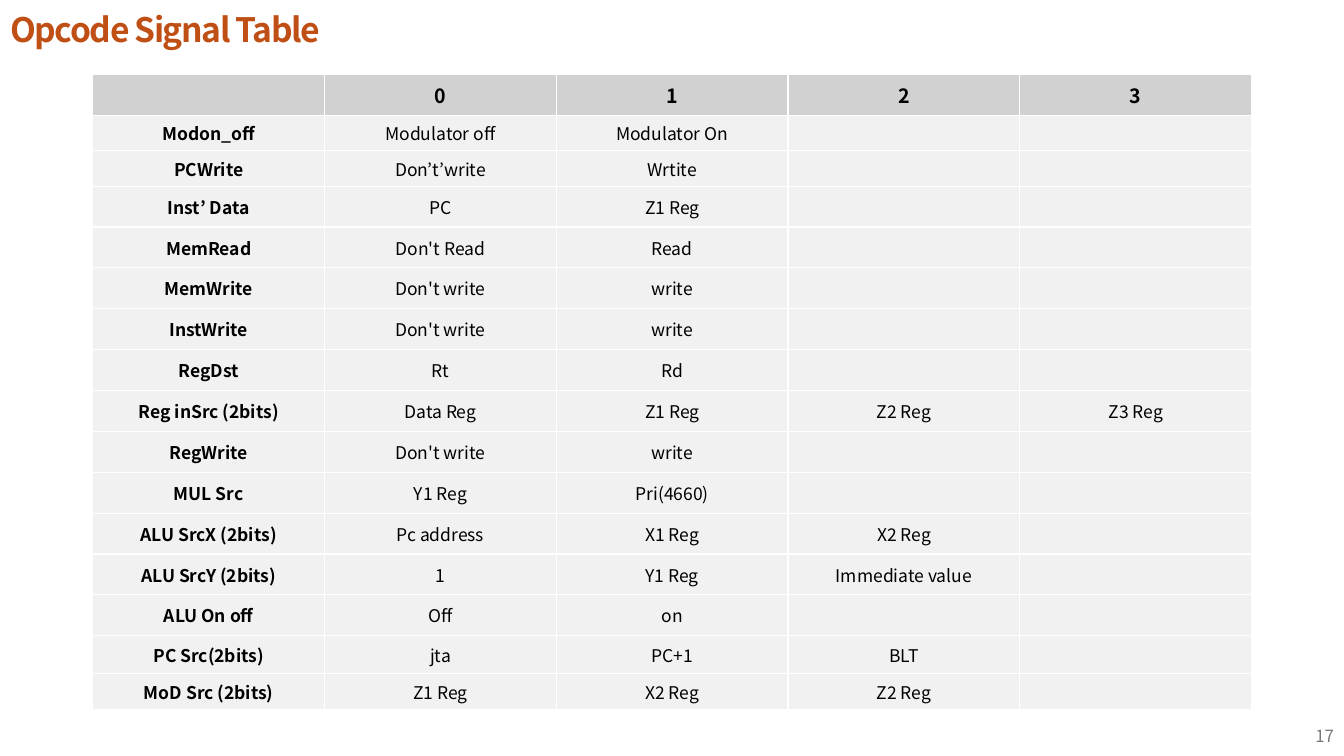
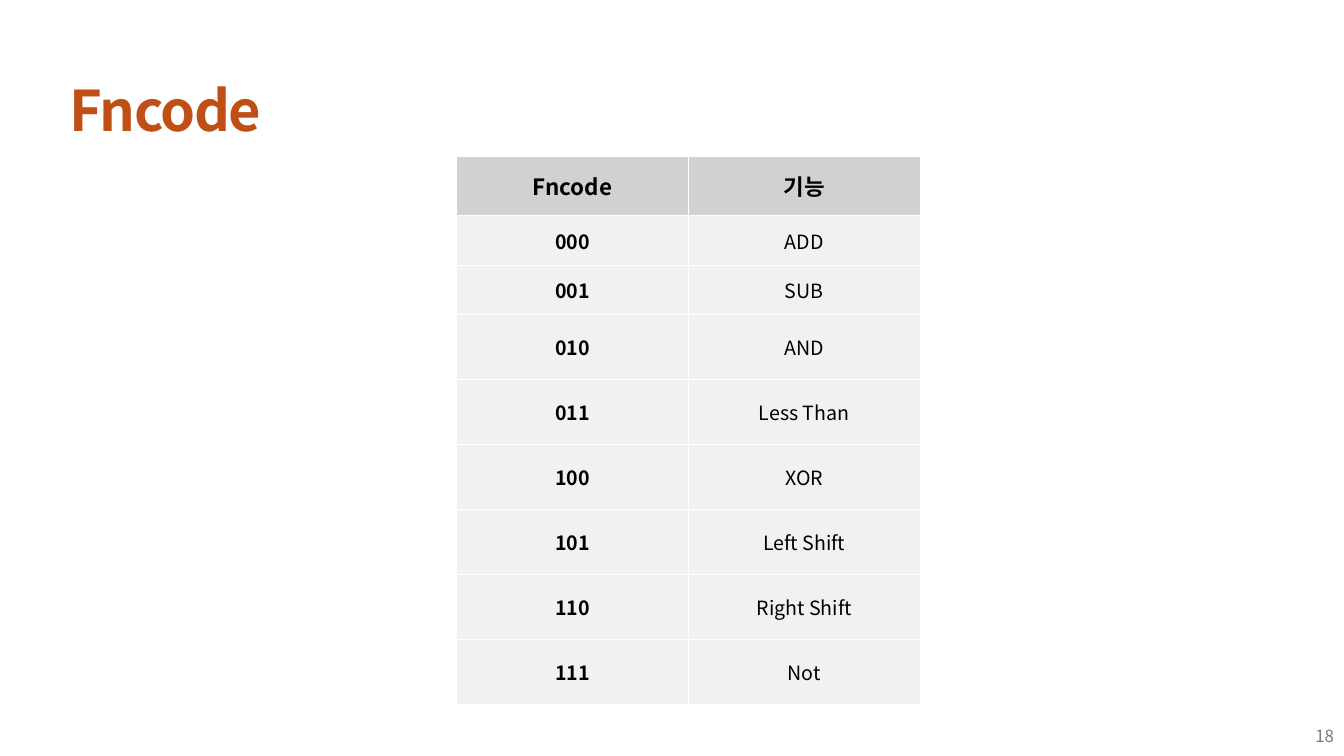
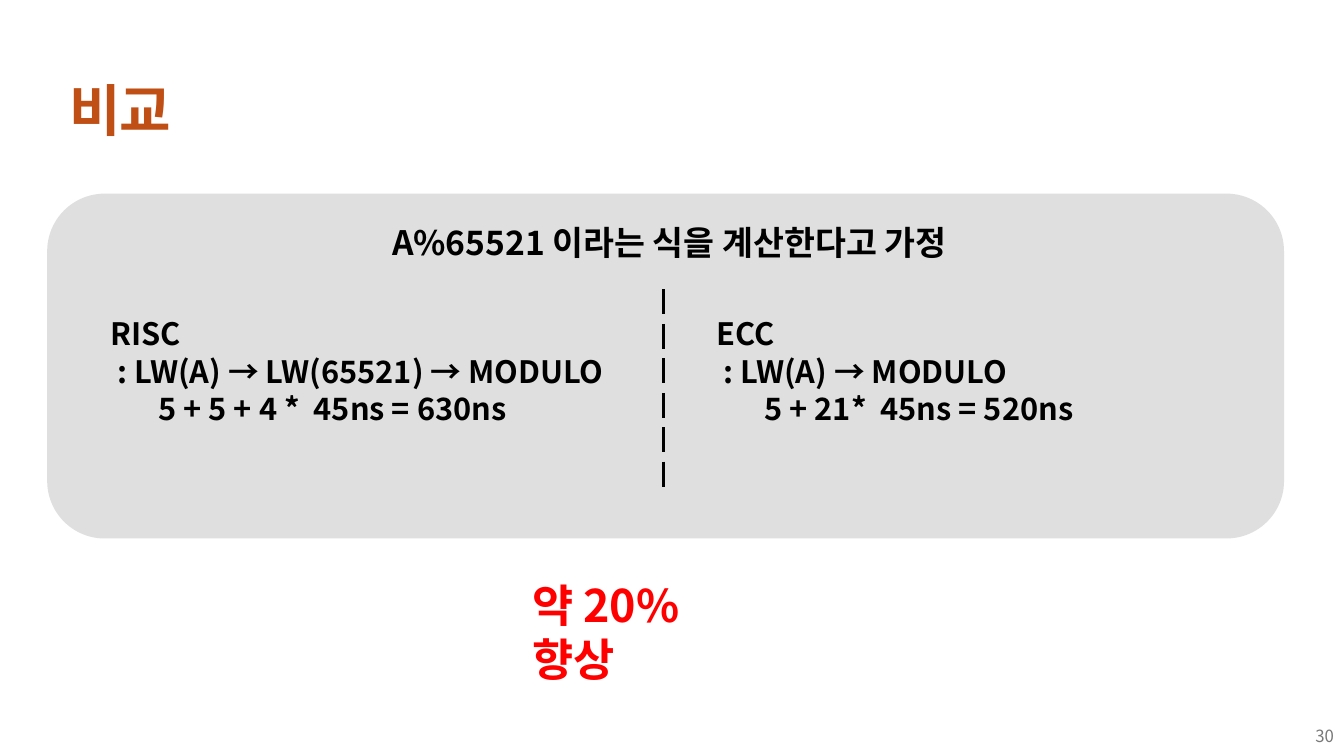
from dataclasses import dataclass

from lxml import etree
from pptx import Presentation
from pptx.dml.color import RGBColor
from pptx.enum.dml import MSO_LINE
from pptx.enum.shapes import MSO_CONNECTOR, MSO_SHAPE
from pptx.enum.text import MSO_ANCHOR, MSO_AUTO_SIZE, PP_ALIGN
from pptx.oxml.ns import qn
from pptx.util import Cm, Pt

LEFT, CENTER, RIGHT = PP_ALIGN.LEFT, PP_ALIGN.CENTER, PP_ALIGN.RIGHT
MIDDLE, TOP = MSO_ANCHOR.MIDDLE, MSO_ANCHOR.TOP
NO_FIT = MSO_AUTO_SIZE.NONE
ROUNDED = MSO_SHAPE.ROUNDED_RECTANGLE
STRAIGHT = MSO_CONNECTOR.STRAIGHT
LONG_DASH = MSO_LINE.LONG_DASH


@dataclass(frozen=True)
class Theme:
    font: str = "Noto Sans CJK KR"
    title: str = "C04F15"
    ink: str = "000000"
    page: str = "797979"
    accent: str = "FF0000"
    header: str = "D1D1D1"
    body: str = "F1F1F1"
    border: str = "FFFFFF"
    title_size: float = 40
    small_title_size: float = 24
    result_size: float = 32
    premise_size: float = 24
    case_size: float = 22
    page_size: float = 12
    leading: float = 1.22


THEME = Theme()


def style_text(frame, size, color, bold=False, align=LEFT, anchor=TOP):
    frame.vertical_anchor = anchor
    for paragraph in frame.paragraphs:
        paragraph.alignment = align
        for run in paragraph.runs:
            run.font.size = Pt(size)
            run.font.bold = bold
            run.font.name = THEME.font
            run.font.color.rgb = RGBColor.from_string(color)
            east_asian = etree.SubElement(run.font._element, qn("a:ea"))
            east_asian.set("typeface", THEME.font)
        if not paragraph.runs:
            end = etree.SubElement(paragraph._p, qn("a:endParaRPr"))
            end.set("sz", str(int(size * 100)))
            for tag in ("a:latin", "a:ea"):
                etree.SubElement(end, qn(tag)).set("typeface", THEME.font)


def add_grid(slide, left, top, heights, rows, header_size, body_size):
    column_width = Cm(5.84)
    columns = len(rows[0])
    grid = slide.shapes.add_table(len(rows), columns, Cm(left), Cm(top),
                                  column_width * columns, Cm(sum(heights))).table
    for column in grid.columns:
        column.width = column_width
    for r, (height, values) in enumerate(zip(heights, rows)):
        grid.rows[r].height = Cm(height)
        for c, value in enumerate(values):
            cell = grid.cell(r, c)
            cell.text_frame.text = value
            style_text(cell.text_frame, body_size if r else header_size, THEME.ink,
                       bold=r == 0 or c == 0, align=CENTER)
            cell.vertical_anchor = MIDDLE
            properties = cell._tc.get_or_add_tcPr()
            for side in ("a:lnL", "a:lnR", "a:lnT", "a:lnB"):
                edge = etree.SubElement(properties, qn(side), w=str(Pt(1)))
                paint = etree.SubElement(edge, qn("a:solidFill"))
                etree.SubElement(paint, qn("a:srgbClr"), val=THEME.border)
            cell.fill.solid()
            cell.fill.fore_color.rgb = RGBColor.from_string(THEME.body if r else THEME.header)


deck = Presentation()
deck.slide_width, deck.slide_height = Cm(33.87), Cm(19.05)

headings = [
    ("Opcode Signal Table", "17", 0, -1.04, 29.21, THEME.small_title_size),
    ("Fncode", "18", 1.5, 1.02, 5.56, THEME.title_size),
    ("비교", "30", 1.5, 1.02, 29.21, THEME.title_size),
]
slides = []
for heading, number, left, top, width, size in headings:
    slide = deck.slides.add_slide(deck.slide_layouts[5])
    title = slide.shapes.title
    title.left, title.top, title.width, title.height = Cm(left), Cm(top), Cm(width), Cm(3.68)
    title.text_frame.text = heading
    title.text_frame.auto_size = NO_FIT
    style_text(title.text_frame, size, THEME.title, bold=True, anchor=MIDDLE)
    title.text_frame.paragraphs[0].line_spacing = 0.9
    title.text_frame.paragraphs[0].runs[0].font._element.set("spc", "-100")
    page = slide.shapes.add_textbox(Cm(26.25), Cm(18.03), Cm(7.62), Cm(1.02))
    page.text_frame.word_wrap = True
    page.text_frame.text = number
    style_text(page.text_frame, THEME.page_size, THEME.page, align=RIGHT, anchor=MIDDLE)
    slides.append(slide)
opcode_slide, fncode_slide, comparison_slide = slides

signals = [
    ("", "0", "1", "2", "3"),
    ("Modon_off", "Modulator off", "Modulator On", "", ""),
    ("PCWrite", "Don’t’write", "Wrtite", "", ""),
    ("Inst’ Data", "PC", "Z1 Reg", "", ""),
    ("MemRead", "Don't Read", "Read", "", ""),
    ("MemWrite", "Don't write", "write", "", ""),
    ("InstWrite", "Don't write", "write", "", ""),
    ("RegDst", "Rt", "Rd", "", ""),
    ("Reg inSrc (2bits)", "Data Reg", "Z1 Reg", "Z2 Reg", "Z3 Reg"),
    ("RegWrite", "Don't write", "write", "", ""),
    ("MUL Src", "Y1 Reg", "Pri(4660)", "", ""),
    ("ALU SrcX (2bits)", "Pc address", "X1 Reg", "X2 Reg", ""),
    ("ALU SrcY (2bits)", "1", "Y1 Reg", "Immediate value", ""),
    ("ALU On off", "Off", "on", "", ""),
    ("PC Src(2bits)", "jta", "PC+1", "BLT", ""),
    ("MoD Src (2bits)", "Z1 Reg", "X2 Reg", "Z2 Reg", ""),
]
signal_heights = [1.03] + [0.89] * 2 + [1.03] * 11 + [0.96, 0.89]
add_grid(opcode_slide, 2.34, 1.88, signal_heights, signals, 14, 12.5)

operations = ["ADD", "SUB", "AND", "Less Than", "XOR", "Left Shift", "Right Shift", "Not"]
functions = [("Fncode", "기능")]
functions += [(f"{code:03b}", operation) for code, operation in enumerate(operations)]
add_grid(fncode_slide, 11.51, 3.94, [1.5] + [1.24] * 2 + [1.64] * 6, functions, 16, 14)

panel = comparison_slide.shapes.add_shape(ROUNDED, Cm(1.19), Cm(4.88), Cm(31.17), Cm(8.69))
panel.shadow.inherit = False
panel.line.fill.background()
panel.fill.solid()
panel.fill.fore_color.rgb = RGBColor.from_string(THEME.header)
panel_color = panel._element.spPr.find(qn("a:solidFill"))[0]
etree.SubElement(panel_color, qn("a:alpha"), val="69000")

case_indents = (0, 0.17, 1.21)
statements = [
    (["A%65521 이라는 식을 계산한다고 가정"], 9.63, 5.46, 18.95, 1.27,
     THEME.premise_size, THEME.ink),
    (["RISC", ": LW(A) → LW(65521) → MODULO", "5 + 5 + 4 *  45ns = 630ns"],
     2.54, 7.8, 14.15, 3.07, THEME.case_size, THEME.ink),
    (["ECC", ": LW(A) → MODULO", "5 + 21*  45ns = 520ns"],
     17.81, 7.8, 14.15, 3.07, THEME.case_size, THEME.ink),
    (["약 20% 향상"], 13.41, 14.53, 6.53, 1.37, THEME.result_size, THEME.accent),
]
for lines, left, top, width, height, size, color in statements:
    statement = comparison_slide.shapes.add_textbox(Cm(left), Cm(top), Cm(width), Cm(height))
    frame = statement.text_frame
    frame.word_wrap = True
    frame.text = "\n".join(lines)
    style_text(frame, size, color, bold=True)
    for paragraph, indent in zip(frame.paragraphs, case_indents):
        paragraph.line_spacing = Pt(round(size * THEME.leading, 1))
        paragraph._p.get_or_add_pPr().set("marL", str(Cm(indent)))
    if color == THEME.accent:
        frame.margin_left = frame.margin_top = frame.margin_bottom = 0
        frame.margin_right = Cm(1.4)

divider = comparison_slide.shapes.add_connector(STRAIGHT, Cm(16.71), Cm(7.29), Cm(16.71), Cm(12.47))
divider.line.color.rgb = RGBColor.from_string(THEME.ink)
divider.line.width = Pt(2.25)
divider.line.dash_style = LONG_DASH
etree.SubElement(divider._element.spPr, qn("a:effectLst"))

deck.save("out.pptx")
